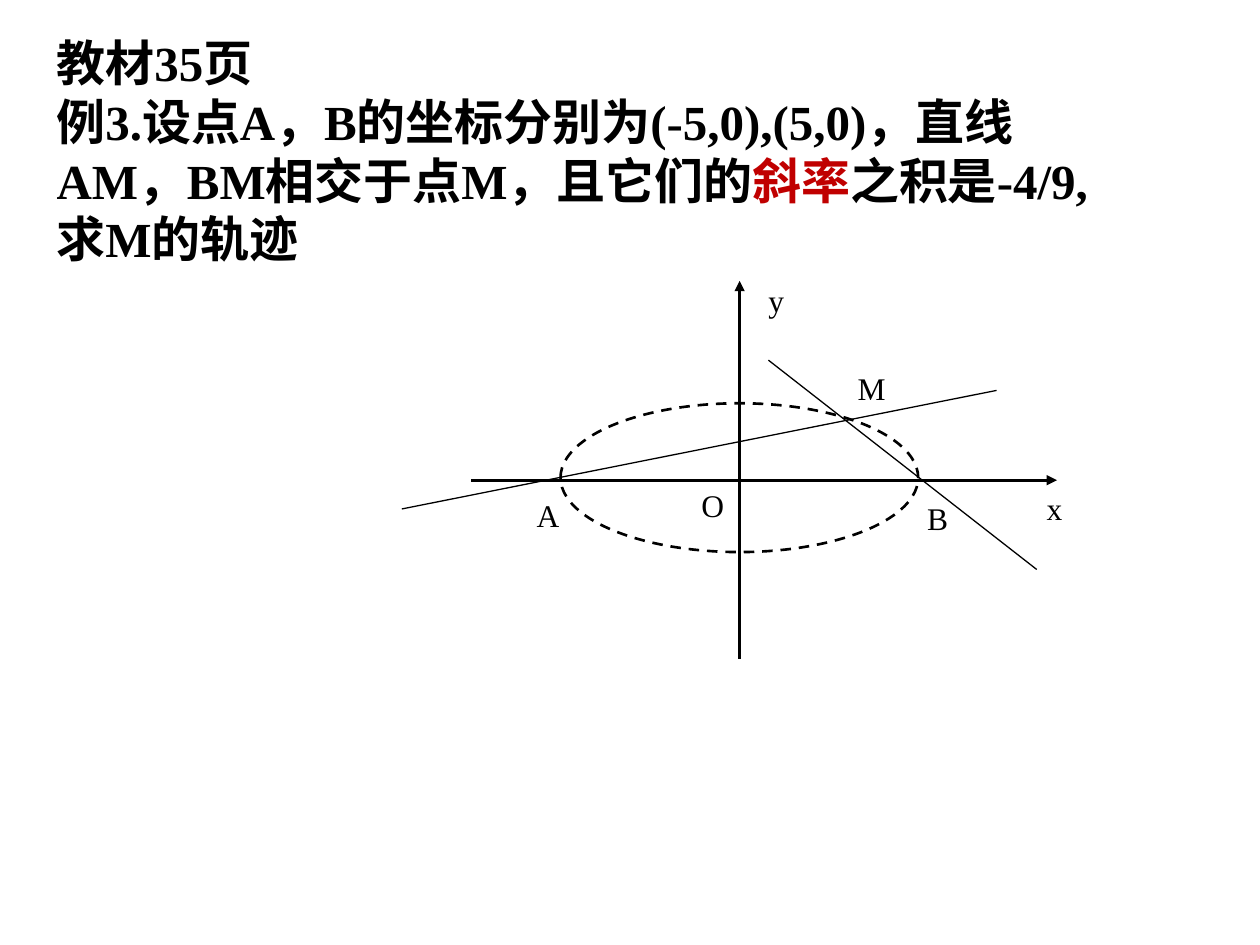
from lxml import etree
from pptx import Presentation
from pptx import util as u
from pptx.dml.color import RGBColor
from pptx.enum import dml, shapes, text
from pptx.oxml import ns

COLORS = {"ink": "000000", "accent": "C00000"}
FONT = "Times New Roman"


def add_span(para, words, size=18, bold=False, color="ink"):
    span = para.add_run()
    span.text = words
    span.font.name = FONT
    span.font.size = u.Pt(size)
    span.font.bold = bold
    span.font.color.rgb = RGBColor.from_string(COLORS[color])


def set_line(item, width):
    item.line.color.rgb = RGBColor.from_string(COLORS["ink"])
    item.line.width = u.Pt(width)


deck = Presentation()
deck.slide_width, deck.slide_height = u.Cm(25.4), u.Cm(19.05)
page = deck.slides.add_slide(deck.slide_layouts[6])

# Problem statement
box = page.shapes.add_textbox(u.Cm(0.89), u.Cm(0.53), u.Cm(21.84), u.Cm(5))
box.text_frame.word_wrap = True
heading = box.text_frame.paragraphs[0]
add_span(heading, "教材35页", size=28, bold=True)
problem = box.text_frame.add_paragraph()
for words, size, bold, color in [
    ("例3.设点A，B的坐标分别为(-5,0),(5,0)，直线AM，BM相交于点M，且它们的", 28, True, "ink"),
    ("斜率", 28, True, "accent"),
    ("之积是-4/9,", 28, True, "ink"),
    (" ", 20, False, "ink"),
    ("求M的轨迹", 28, True, "ink"),
]:
    add_span(problem, words, size=size, bold=bold, color=color)

# Axes meet at the origin, lines AM and BM cross on the ellipse
figure = page.shapes.add_group_shape()
origin_x, origin_y = 14.91, 9.68
for x1, y1, x2, y2, width, is_axis in [
    (9.5, origin_y, 21.31, origin_y, 1.5, True),
    (origin_x, 13.28, origin_x, 5.66, 1.5, True),
    (8.1, 10.26, 20.09, 7.87, 0.75, False),
    (15.49, 7.26, 20.9, 11.48, 0.75, False),
]:
    line = figure.shapes.add_connector(
        shapes.MSO_CONNECTOR.STRAIGHT, u.Cm(x1), u.Cm(y1), u.Cm(x2), u.Cm(y2))
    set_line(line, width)
    if is_axis:
        etree.SubElement(line.line._get_or_add_ln(), ns.qn("a:tailEnd"), type="triangle")
    etree.SubElement(line._element.spPr, ns.qn("a:effectLst"))

# Dashed locus
ellipse = figure.shapes.add_shape(
    shapes.MSO_SHAPE.OVAL, u.Cm(11.3), u.Cm(8.13), u.Cm(7.21), u.Cm(3))
ellipse.shadow.inherit = False
ellipse.fill.background()
set_line(ellipse, 1.5)
ellipse.line.dash_style = dml.MSO_LINE.DASH

# Point and axis labels
for name, left, top, width in [
    ("M", 17.04, 7.32, 1.07),
    ("x", 20.85, 9.73, 0.81),
    ("y", 15.24, 5.54, 0.81),
    ("O", 13.89, 9.68, 0.97),
    ("A", 10.57, 9.88, 0.97),
    ("B", 18.44, 9.93, 0.91),
]:
    label = figure.shapes.add_textbox(u.Cm(left), u.Cm(top), u.Cm(width), u.Cm(1.02))
    label.text_frame.word_wrap = False
    label.text_frame.auto_size = text.MSO_AUTO_SIZE.SHAPE_TO_FIT_TEXT
    add_span(label.text_frame.paragraphs[0], name)

deck.save("out.pptx")
